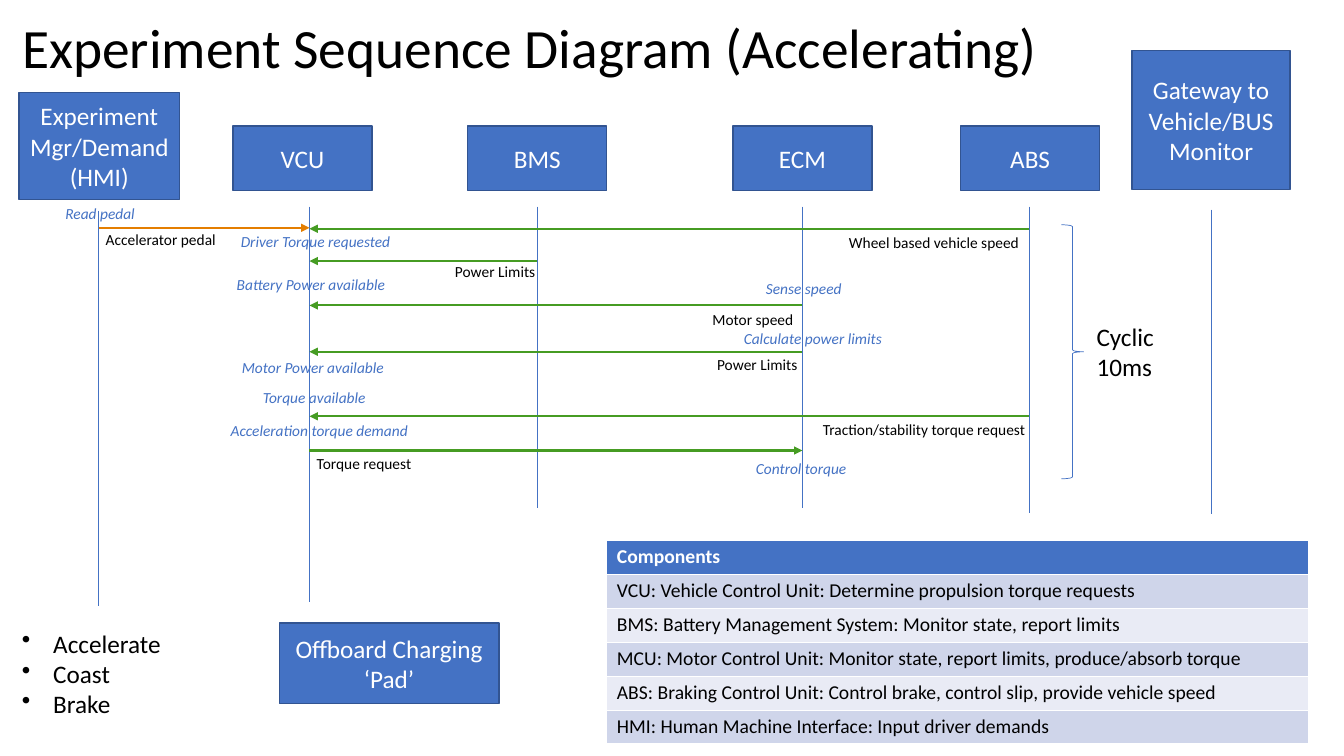
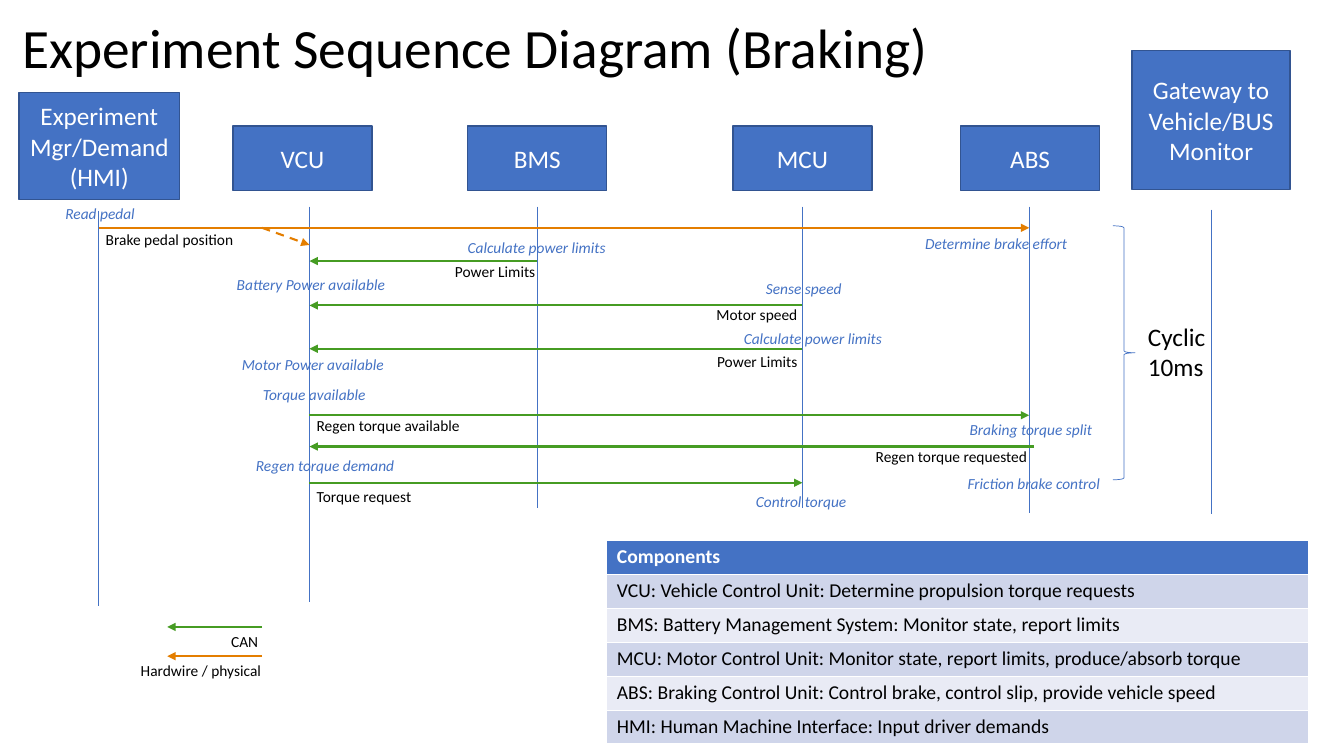
from pptx import Presentation
from pptx.dml.color import RGBColor
from pptx.enum.dml import MSO_LINE
from pptx.enum.shapes import MSO_CONNECTOR, MSO_SHAPE
from pptx.enum.text import MSO_ANCHOR, MSO_AUTO_SIZE, PP_ALIGN
from pptx.oxml.ns import qn
from pptx.util import Inches, Pt
from lxml import etree

LEFT, MID, RIGHT = PP_ALIGN.LEFT, PP_ALIGN.CENTER, PP_ALIGN.RIGHT
MIDDLE, TOP = MSO_ANCHOR.MIDDLE, MSO_ANCHOR.TOP
RECT, BRACE = MSO_SHAPE.RECTANGLE, MSO_SHAPE.RIGHT_BRACE
STRAIGHT, DASH, FIXED = MSO_CONNECTOR.STRAIGHT, MSO_LINE.DASH, MSO_AUTO_SIZE.NONE

FONT = "Calibri"
COLORS = {
    "blue": "4472C4", "edge": "325491", "can": "469C23", "wire": "E47E00",
    "odd": "CFD5EA", "even": "E9EBF5", "ink": "000000", "paper": "FFFFFF",
}
COLS, ROWS = 133.33, 75  # grid cells are a tenth of an inch

# Column of each lifeline
HMI, VCU, BMS, MOTOR, ABS, GATE = 9.8, 30.7, 53.3, 79.6, 102.1, 120.2

PARTS = [
    "Components",
    "VCU: Vehicle Control Unit: Determine propulsion torque requests",
    "BMS: Battery Management System: Monitor state, report limits",
    "MCU: Motor Control Unit: Monitor state, report limits, produce/absorb torque",
    "ABS: Braking Control Unit: Control brake, control slip, provide vehicle speed",
    "HMI: Human Machine Interface: Input driver demands",
]


def grid(*cells):
    return [Inches(cell / 10) for cell in cells]


def color(name):
    return RGBColor.from_string(COLORS[name])


class Deck:
    def __init__(self):
        self.show = Presentation()
        self.show.slide_width, self.show.slide_height = grid(COLS, ROWS)
        self.slide = None

    def start(self, title):
        """Add a slide and set its title."""
        self.slide = self.show.slides.add_slide(self.show.slide_layouts[5])
        head = self.slide.shapes.title
        head.left, head.top, head.width, head.height = grid(1.2, 1.4, 115, 7.3)
        self.put(head.text_frame, [title], 39.6, anchor=MIDDLE)
        head.text_frame.paragraphs[0].line_spacing = 0.9

    def put(self, frame, lines, size, ink="ink", align=LEFT, anchor=TOP,
            slant=False, bold=False):
        """Set each line as a paragraph of the frame."""
        frame.word_wrap = True
        frame.auto_size = FIXED
        frame.vertical_anchor = anchor
        for i, line in enumerate(lines):
            para = frame.add_paragraph() if i else frame.paragraphs[0]
            para.alignment = align
            run = para.add_run()
            run.text = line
            font = run.font
            font.name, font.size = FONT, Pt(size)
            font.italic, font.bold = slant, bold
            font.color.rgb = color(ink)

    def text(self, lines, x, y, w, h, size=18, **style):
        box = self.slide.shapes.add_textbox(*grid(x, y, w, h))
        self.put(box.text_frame, lines, size, **style)
        box.text_frame.word_wrap = False
        return box

    def label(self, text, x, y, w, align=RIGHT):
        """Name the signal that an arrow carries."""
        self.text([text], x, y, w, 2.9, 11, align=align)

    def note(self, text, x, y, w):
        """Name a task that a unit performs."""
        self.text([text], x, y, w, 2.9, 11, ink="blue", slant=True)

    def bullets(self, lines, x, y, w, h):
        box = self.text(lines, x, y, w, h)
        for para in box.text_frame.paragraphs:
            props = para._p.get_or_add_pPr()
            props.set("marL", str(Inches(0.31)))
            props.set("indent", str(-Inches(0.31)))
            etree.SubElement(props, qn("a:buChar")).set("char", "•")

    def box(self, text, x, y, w, h):
        box = self.slide.shapes.add_shape(RECT, *grid(x, y, w, h))
        box.shadow.inherit = False
        box.fill.solid()
        box.fill.fore_color.rgb = color("blue")
        box.line.color.rgb = color("edge")
        box.line.width = Pt(1)
        self.put(box.text_frame, [text], 18, "paper", MID, MIDDLE)

    def brace(self, x, y, w, h):
        brace = self.slide.shapes.add_shape(BRACE, *grid(x, y, w, h))
        brace.shadow.inherit = False
        brace.fill.background()
        brace.line.color.rgb = color("blue")
        brace.line.width = Pt(0.5)

    def line(self, x1, y1, x2, y2, ink="blue", width=0.5):
        line = self.slide.shapes.add_connector(STRAIGHT, *grid(x1, y1, x2, y2))
        line.line.color.rgb = color(ink)
        line.line.width = Pt(width)
        etree.SubElement(line._element.spPr, qn("a:effectLst"))
        return line

    def arrow(self, x1, x2, y, ink="can", drop=0, dash=False):
        line = self.line(x1, y, x2, y + drop, ink, 1.5)
        if dash:
            line.line.dash_style = DASH
        tip = etree.SubElement(line.line._get_or_add_ln(), qn("a:tailEnd"))
        tip.set("type", "triangle")

    def table(self, lines, x, y, w, h):
        frame = self.slide.shapes.add_table(len(lines), 1, *grid(x, y, w, h))
        for i, line in enumerate(lines):
            cell = frame.table.cell(i, 0)
            cell.fill.solid()
            fill = "odd" if i % 2 else "even"
            cell.fill.fore_color.rgb = color(fill if i else "blue")
            self.put(cell.text_frame, [line], 14,
                     "ink" if i else "paper", bold=not i)

    def cycle(self, x, y):
        """Mark the span that repeats."""
        self.brace(x, y, 2.2, 25.2)
        self.text(["Cyclic", "10ms"], x + 2.5, 31.4, 8.4, 7.1)


def base(deck, title, motor):
    """Draw the units, lifelines and signals found on each slide."""
    deck.start(title)
    for name, x in (("VCU", 23.1), ("BMS", 46.4), (motor, 72.7), ("ABS", 95.3)):
        deck.box(name, x, 12.5, 13.8, 6.4)
    deck.box("Gateway to Vehicle/BUS Monitor", 112.3, 5, 15.7, 13.8)
    deck.box("Experiment Mgr/Demand (HMI)", 1.9, 9.2, 15.9, 10.6)
    for x, top, end in ((HMI, 20.9, 60.1), (VCU, 20.5, 59.7), (BMS, 20.5, 50.4),
                        (MOTOR, 20.5, 50.4), (ABS, 20.5, 50.9), (GATE, 20.8, 51)):
        deck.line(x, top, x, end)
    deck.arrow(BMS, VCU, 25.9)
    deck.label("Power Limits", 44, 25.5, 10.1)
    deck.arrow(MOTOR, VCU, 30.3)
    deck.note("Read pedal", 5.5, 19.8, 9)
    deck.note("Battery Power available", 22.5, 26.8, 16.9)
    deck.note("Sense speed", 75, 27.2, 9.6)
    deck.note("Calculate power limits", 72.8, 32.2, 15.8)
    deck.table(PARTS, 60.2, 53.6, 69.6, 20)


def limits(deck, y):
    """Report the motor limits at row y."""
    deck.arrow(MOTOR, VCU, y)
    deck.label("Power Limits", 70, y - 0.2, 10.1)
    deck.note("Motor Power available", 23, y + 0.1, 16.2)
    deck.note("Torque available", 25.1, y + 3.1, 12.4)


def demand(deck, y):
    """Send the torque request at row y."""
    deck.arrow(VCU, MOTOR, y)
    deck.label("Torque request", 30.1, y - 0.1, 11.7)
    deck.note("Control torque", 74, y + 0.4, 11.1)


def drive(deck):
    base(deck, "Experiment Sequence Diagram (Accelerating)", "ECM")
    deck.arrow(HMI, VCU, 22.6, "wire")
    deck.label("Accelerator pedal", 9.5, 22.3, 13.1, LEFT)
    deck.arrow(ABS, VCU, 22.7)
    deck.label("Wheel based vehicle speed", 83.1, 22.6, 19)
    deck.note("Driver Torque requested", 22.9, 22.5, 17.1)
    deck.label("Motor speed", 69.6, 30.3, 10.1)
    limits(deck, 34.9)
    deck.arrow(ABS, VCU, 41.3)
    deck.label("Traction/stability torque request", 79.9, 41.2, 22.8)
    deck.note("Acceleration torque demand", 21.9, 41.3, 19.7)
    demand(deck, 44.7)
    deck.cycle(105.3, 22.3)
    deck.bullets(["Accelerate", "Coast", "Brake"], 1.2, 61.8, 16, 10.1)
    deck.box("Offboard Charging ‘Pad’", 27.7, 61.8, 21.8, 8)


def brake(deck):
    base(deck, "Experiment Sequence Diagram (Braking)", "MCU")
    deck.arrow(HMI, ABS, 22.6, "wire")
    deck.arrow(26, VCU, 22.6, "wire", drop=1.7, dash=True)
    deck.label("Brake pedal position", 9.5, 22.3, 14.8, LEFT)
    deck.note("Determine brake effort", 90.8, 22.7, 16.3)
    deck.note("Calculate power limits", 45.4, 23.1, 15.8)
    deck.label("Motor speed", 70, 29.8, 10.1)
    limits(deck, 34.6)
    deck.arrow(VCU, ABS, 41.2)
    deck.label("Regen torque available", 30.2, 40.8, 16.4)
    deck.note("Braking torque split", 95.2, 41.2, 14.8)
    deck.arrow(ABS + 0.5, VCU, 44.3)
    deck.label("Regen torque requested", 85.6, 43.9, 17.3)
    deck.note("Regen torque demand", 24.4, 44.8, 15.9)
    deck.note("Friction brake control", 95, 46.5, 15.3)
    demand(deck, 47.9)
    deck.cycle(110.4, 22.4)
    for name, ink, y, x, w in (("CAN", "can", 62.2, 21.9, 4.7),
                               ("Hardwire / physical", "wire", 65.1, 12.8, 14.1)):
        deck.arrow(26, 16.6, y, ink)
        deck.label(name, x, y, w)


def main():
    deck = Deck()
    drive(deck)
    brake(deck)
    deck.show.save("out.pptx")


if __name__ == "__main__":
    main()
